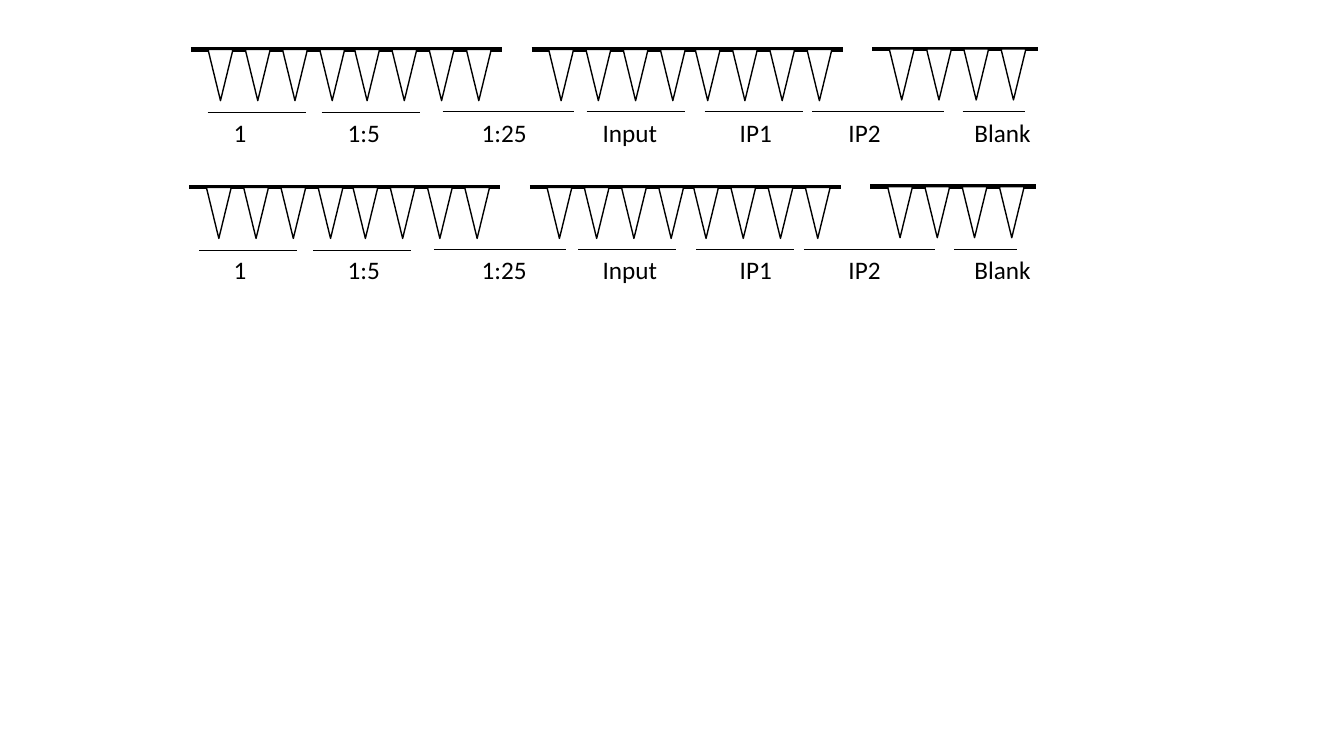
from lxml.etree import SubElement
from pptx import Presentation
from pptx.dml.color import RGBColor
from pptx.enum.shapes import MSO_CONNECTOR, MSO_SHAPE
from pptx.enum.text import MSO_AUTO_SIZE
from pptx.oxml.ns import qn
from pptx.util import Pt

COLORS = {"ink": "000000", "paper": "FFFFFF"}
FONT = "Calibri"

# strip: tube count, bar length, lift
STRIPS = [(8, 222.3, 0), (8, 222.3, 0), (4, 118.4, 0.5)]
# sample: label, label left, label width, line left, line length, line lift
SAMPLES = [
    ("1", 159.8, 23.8, 148.3, 70.2, 0),
    ("1:5", 241.2, 38.2, 229.7, 70.2, 0),
    ("1:25", 337, 46.8, 316.1, 94, 0.7),
    ("Input", 423.4, 54, 419, 70.2, 0.7),
    ("IP1", 521.3, 37.4, 503.3, 70.2, 0.7),
    ("IP2", 599, 37.4, 580.3, 94, 0.7),
    ("Blank", 689, 54.7, 687.6, 44.9, 0.7),
]
# row: strip left, strip top, line shift, line top, label top
ROWS = [(136.4, 35.4, 0, 80.6, 80.6), (135.2, 133.8, -6.1, 178.6, 177.8)]

STRIP_PITCH = 243.3
TUBE_W, TUBE_H, TUBE_PITCH, TUBE_INSET = 17.8, 36.5, 26.6, 12.2
MIDDLE_SHIFT = 1.7
LABEL_H = 29.1


def color(name):
    return RGBColor.from_string(COLORS[name])


def add_line(shapes, x, y, length, weight):
    c = shapes.add_connector(MSO_CONNECTOR.STRAIGHT, Pt(x), Pt(y), Pt(x + length), Pt(y))
    c.line.color.rgb = color("ink")
    c.line.width = Pt(weight)
    SubElement(c._element.spPr, qn("a:effectLst"))


def add_tube(shapes, x, y):
    sp = shapes.add_shape(MSO_SHAPE.ISOSCELES_TRIANGLE, Pt(x), Pt(y), Pt(TUBE_W), Pt(TUBE_H))
    sp.rotation = 180
    sp.shadow.inherit = False
    sp.fill.solid()
    sp.fill.fore_color.rgb = color("paper")
    sp.line.color.rgb = color("ink")
    sp.line.width = Pt(1)


def add_strip(shapes, x, y, count, length):
    group = shapes.add_group_shape().shapes
    add_line(group, x, y, length, 3)
    for i in range(count):
        shift = MIDDLE_SHIFT if i >= 4 else 0
        add_tube(group, x + TUBE_INSET + i * TUBE_PITCH - shift, y)


def add_label(shapes, text, x, y, width):
    tf = shapes.add_textbox(Pt(x), Pt(y), Pt(width), Pt(LABEL_H)).text_frame
    tf.text = text
    tf.word_wrap = False
    tf.auto_size = MSO_AUTO_SIZE.SHAPE_TO_FIT_TEXT
    r = tf.paragraphs[0].runs[0]
    r.font.name = FONT
    r.font.size = Pt(18)
    r.font.color.rgb = color("ink")


def main():
    """Draw two rows of tube strips with their sample labels."""
    prs = Presentation()
    prs.slide_width, prs.slide_height = Pt(960), Pt(540)
    s = prs.slides.add_slide(prs.slide_layouts[6])
    for left, top, shift, line_top, label_top in ROWS:
        for i, (count, length, lift) in enumerate(STRIPS):
            add_strip(s.shapes, left + i * STRIP_PITCH, top - lift, count, length)
        for text, x, width, line_x, length, lift in SAMPLES:
            add_line(s.shapes, line_x + shift, line_top - lift, length, 0.5)
            add_label(s.shapes, text, x, label_top, width)
    prs.save("out.pptx")


if __name__ == "__main__":
    main()
